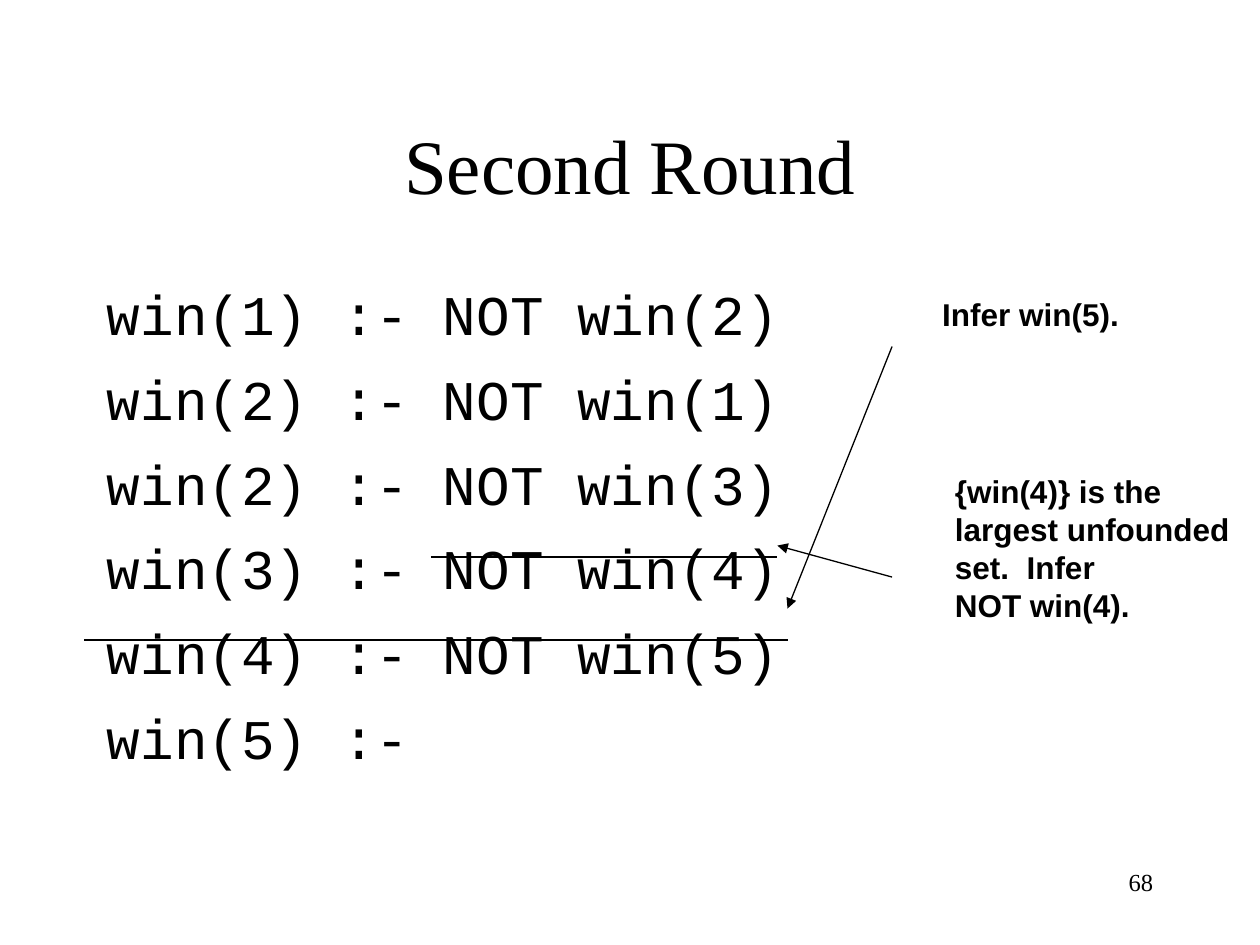
"""Build the "Second Round" slide on well-founded models."""
from dataclasses import dataclass

from lxml import etree
from pptx import Presentation
from pptx.dml.color import RGBColor
from pptx.enum import shapes, text
from pptx.oxml import ns
from pptx.util import Inches, Pt

BLACK = RGBColor(0, 0, 0)


@dataclass(frozen=True)
class Block:
    box: tuple[float, float, float, float]
    lines: tuple[str, ...]
    font: dict
    para: dict
    frame: dict


@dataclass(frozen=True)
class Line:
    start: tuple[float, float]
    end: tuple[float, float]
    arrow: bool = False


TITLE = {"name": "Times New Roman", "size": Pt(44)}
CODE = {"name": "Courier New", "size": Pt(32)}
NOTE = {"name": "Arial", "size": Pt(18), "bold": True}
NUMBER = {"name": "Times New Roman", "size": Pt(14)}
CENTRED = {"alignment": text.PP_ALIGN.CENTER}
RIGHT = {"alignment": text.PP_ALIGN.RIGHT}
RULE = {"space_before": Pt(8), "space_after": Pt(2)}
WRAP = {"word_wrap": True}
MIDDLE = {"word_wrap": True, "vertical_anchor": text.MSO_ANCHOR.MIDDLE}
NO_WRAP = {"word_wrap": False, "auto_size": text.MSO_AUTO_SIZE.SHAPE_TO_FIT_TEXT}

RULES = (
    "win(1) :- NOT win(2)",
    "win(2) :- NOT win(1)",
    "win(2) :- NOT win(3)",
    "win(3) :- NOT win(4)",
    "win(4) :- NOT win(5)",
    "win(5) :-",
)
UNFOUNDED = ("{win(4)} is the", "largest unfounded", "set.  Infer", "NOT win(4).")

BLOCKS = (
    Block((7.17, 6.83, 2.08, 0.5), ("68",), NUMBER, RIGHT, WRAP),
    Block((0.75, 0.67, 8.5, 1.25), ("Second Round",), TITLE, CENTRED, MIDDLE),
    Block((0.75, 2.17, 8.5, 4.5), RULES, CODE, RULE, WRAP),
    Block((7.38, 2.29, 1.6, 0.4), ("Infer win(5).",), NOTE, {}, NO_WRAP),
    Block((7.48, 3.7, 2.38, 1.3), UNFOUNDED, NOTE, {}, NO_WRAP),
)
LINES = (
    Line((0.67, 5.08), (6.25, 5.08)),
    Line((7.08, 2.75), (6.25, 4.83), arrow=True),
    Line((3.42, 4.42), (6.17, 4.42)),
    Line((7.08, 4.58), (6.17, 4.33), arrow=True),
)


def apply(target: object, values: dict) -> None:
    """Set each named value on the target."""
    for name, value in values.items():
        setattr(target, name, value)


def draw_block(slide, block: Block) -> None:
    """Add a text box with one paragraph per line."""
    tf = slide.shapes.add_textbox(*map(Inches, block.box)).text_frame
    apply(tf, block.frame)
    for i, line in enumerate(block.lines):
        p = tf.add_paragraph() if i else tf.paragraphs[0]
        apply(p, block.para)
        r = p.add_run()
        r.text = line
        apply(r.font, block.font)
        r.font.color.rgb = BLACK


def draw_line(slide, line: Line) -> None:
    """Add a thin straight line, with an arrowhead at its end if asked."""
    ends = map(Inches, line.start + line.end)
    sp = slide.shapes.add_connector(shapes.MSO_CONNECTOR.STRAIGHT, *ends)
    sp.line.color.rgb = BLACK
    sp.line.width = Pt(0.75)
    if line.arrow:
        ln = sp.line._get_or_add_ln()
        etree.SubElement(ln, ns.qn("a:tailEnd"), type="triangle")
    etree.SubElement(sp._element.spPr, ns.qn("a:effectLst"))


def main() -> None:
    """Build and save the presentation."""
    prs = Presentation()
    prs.slide_width, prs.slide_height = Inches(10), Inches(7.5)
    s = prs.slides.add_slide(prs.slide_layouts[6])
    for block in BLOCKS:
        draw_block(s, block)
    for line in LINES:
        draw_line(s, line)
    prs.save("out.pptx")


if __name__ == "__main__":
    main()
